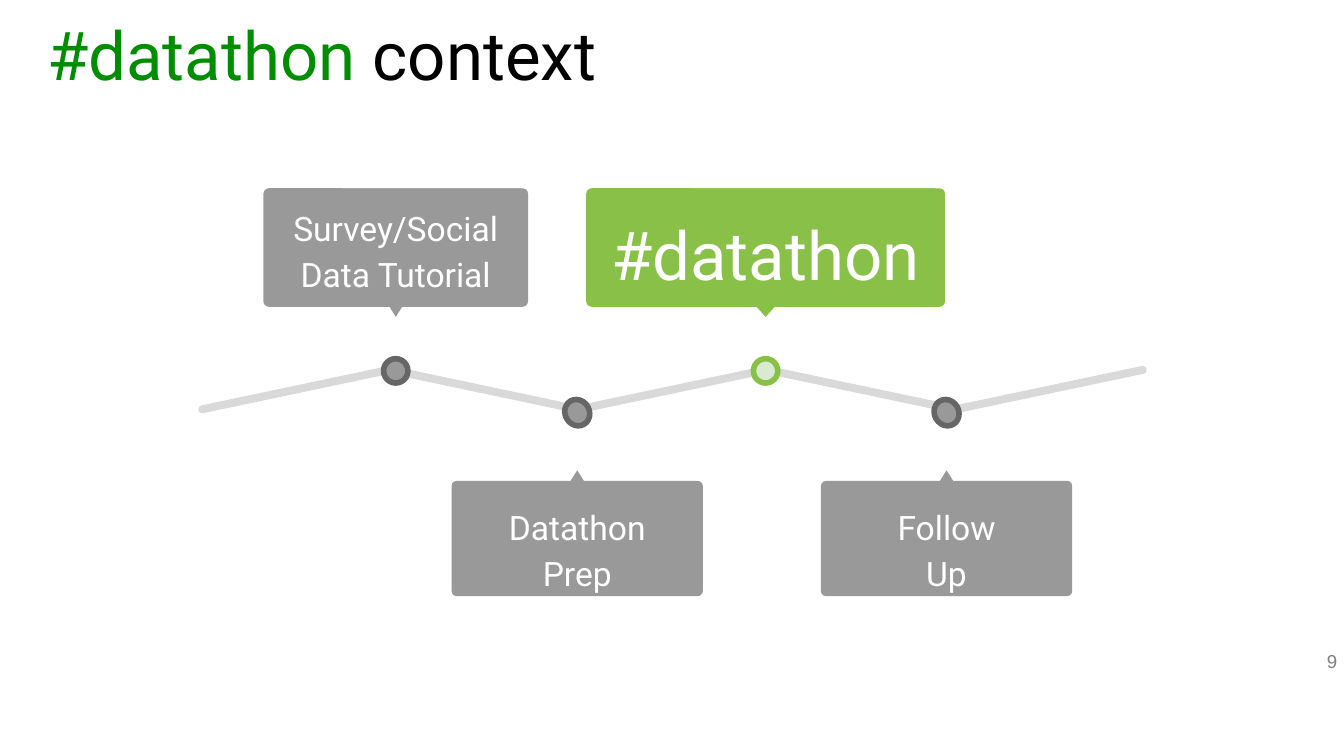
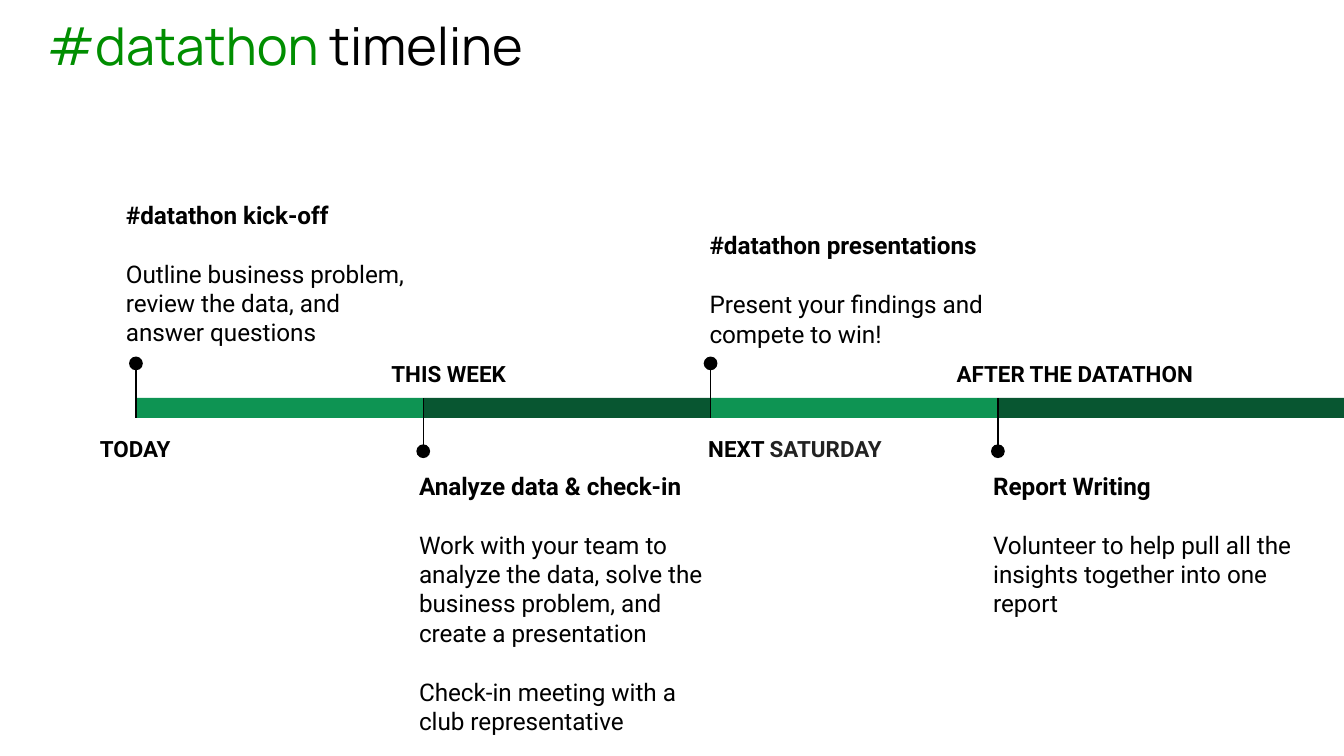
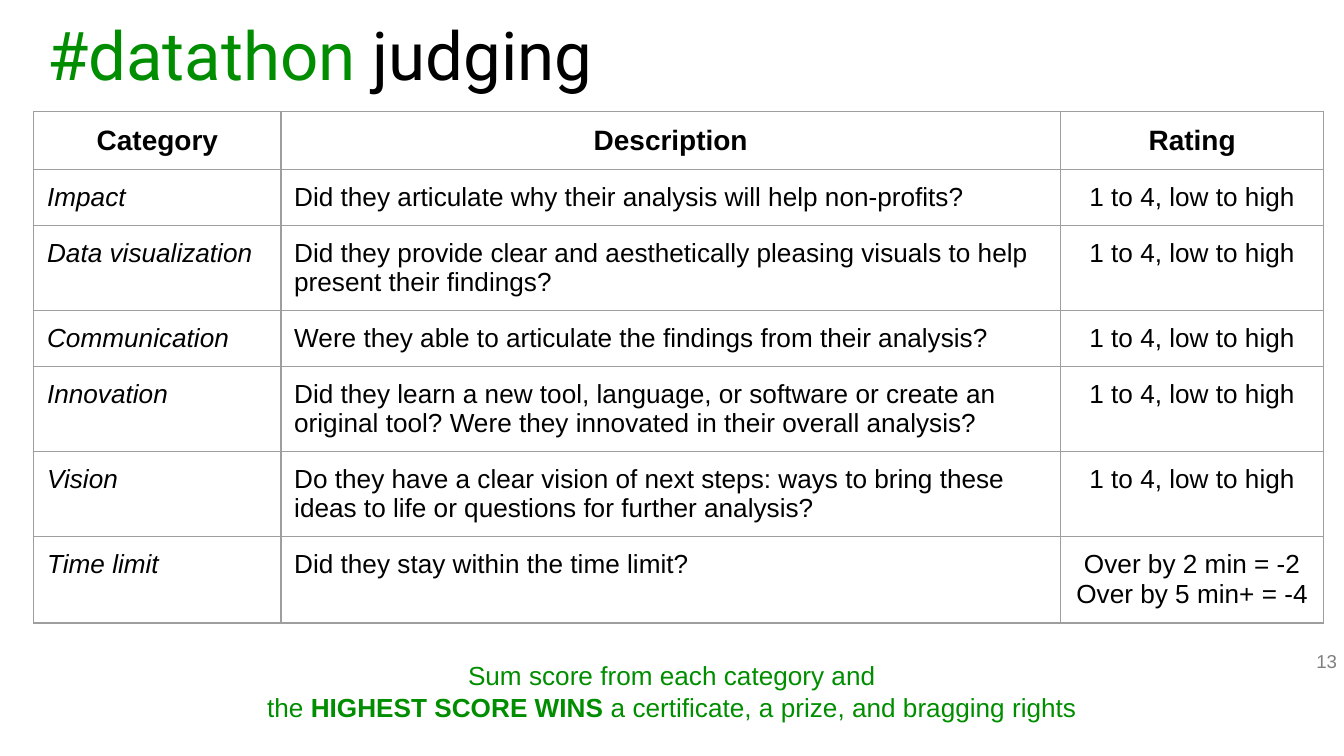
from dataclasses import dataclass
from itertools import cycle
from typing import NamedTuple, Optional

from lxml.etree import SubElement
from pptx import Presentation
from pptx.dml.color import RGBColor
from pptx.enum.shapes import MSO_CONNECTOR, MSO_SHAPE
from pptx.enum.text import MSO_ANCHOR, MSO_AUTO_SIZE, PP_ALIGN
from pptx.oxml.ns import qn
from pptx.util import Cm, Pt

# Shared style
COLORS = {
    "title": "008E00",
    "text": "000000",
    "soft_text": "222222",
    "white": "FFFFFF",
    "page_number": "7F7F7F",
    "rail": "D9D9D9",
    "gray": "999999",
    "dark_gray": "666666",
    "highlight": "88C048",
    "pale_green": "D9EAD3",
    "band_light": "0E9453",
    "band_dark": "085631",
    "grid": "9E9E9E",
}
SLIDE_WIDTH, SLIDE_HEIGHT = 25.4, 14.29
MARGIN = 0.25
BODY_FONT = "Roboto"
TABLE_FONT = "Arial"


class Span(NamedTuple):
    text: str
    color: str = "text"
    bold: bool = False
    italic: bool = False


@dataclass
class Milestone:
    text: str
    center: float
    width: float
    above: bool
    size: int = 18
    color: str = "gray"
    side_inset: float = 0.13
    pointer_width: float = 0.25
    knot_fill: str = "gray"
    knot_line: str = "dark_gray"


@dataclass
class Phase:
    label: list[Span]
    label_left: float
    label_width: float
    heading: str
    details: list[str]
    note_left: float
    note_top: float
    note_width: float = 6.25
    label_align: PP_ALIGN = PP_ALIGN.CENTER


class Criterion(NamedTuple):
    category: str
    description: str
    height: float
    ratings: tuple[str, ...] = ("1 to 4, low to high",)


# Content
MILESTONES = [
    Milestone("Survey/Social Data Tutorial", 7.48, 5.0, True),
    Milestone("Datathon Prep", 10.91, 4.75, False),
    Milestone("#datathon", 14.47, 6.78, True, size=36, color="highlight",
              side_inset=0.18, pointer_width=0.36,
              knot_fill="pale_green", knot_line="highlight"),
    Milestone("Follow\nUp", 17.89, 4.75, False),
]

PHASES = [
    Phase([Span("TODAY", bold=True)], 1.35, 2.41, "#datathon kick-off",
          ["Outline business problem, review the data, and answer questions"],
          2.13, 3.53, note_width=5.87),
    Phase([Span("THIS WEEK", bold=True)], 6.98, 3.0, "Analyze data & check-in",
          ["Work with your team to analyze the data, solve the business problem, "
           "and create a presentation",
           "Check-in meeting with a club representative"],
          7.67, 8.66),
    Phase([Span("NEXT ", bold=True), Span("SATURDAY", "soft_text", bold=True)],
          12.55, 4.95, "#datathon presentations",
          ["Present your findings and compete to win!"], 13.16, 4.11),
    Phase([Span("AFTER THE DATATHON", bold=True)], 17.83, 7.14, "Report Writing",
          ["Volunteer to help pull all the insights together into one report"],
          18.52, 8.66, label_align=PP_ALIGN.LEFT),
]

CRITERIA = [
    Criterion("Impact",
              "Did they articulate why their analysis will help non-profits?", 1.04),
    Criterion("Data visualization",
              "Did they provide clear and aesthetically pleasing visuals to help "
              "present their findings?", 1.55),
    Criterion("Communication",
              "Were they able to articulate the findings from their analysis?", 1.02),
    Criterion("Innovation",
              "Did they learn a new tool, language, or software or create an original "
              "tool? Were they innovated in their overall analysis?", 1.55),
    Criterion("Vision",
              "Do they have a clear vision of next steps: ways to bring these ideas "
              "to life or questions for further analysis?", 1.55),
    Criterion("Time limit", "Did they stay within the time limit?", 1.63,
              ("Over by 2 min = -2", "Over by 5 min+ = -4")),
]


# Drawing helpers
def rgb(name: str) -> RGBColor:
    return RGBColor.from_string(COLORS[name])


def write(frame, paragraphs: list[list[Span]], size: float, font: str = BODY_FONT,
          align: PP_ALIGN = PP_ALIGN.LEFT, line_spacing: Optional[float] = None,
          gap: float = 0) -> None:
    """Fill a text frame; gap is the space before every later paragraph."""
    for index, spans in enumerate(paragraphs):
        paragraph = frame.add_paragraph() if index else frame.paragraphs[0]
        paragraph.alignment = align
        if line_spacing:
            paragraph.line_spacing = line_spacing
        if index and gap:
            paragraph.space_before = Pt(gap)
        for span in spans:
            for number, line in enumerate(span.text.split("\n")):
                if number:
                    paragraph.add_line_break()
                run = paragraph.add_run()
                run.text = line
                run.font.name = font
                run.font.size = Pt(size)
                run.font.bold = span.bold
                run.font.italic = span.italic
                run.font.color.rgb = rgb(span.color)


def prepare_frame(frame, anchor: MSO_ANCHOR = MSO_ANCHOR.TOP) -> None:
    frame.word_wrap = True
    frame.auto_size = MSO_AUTO_SIZE.NONE
    frame.vertical_anchor = anchor
    frame.margin_left = frame.margin_right = Cm(MARGIN)
    frame.margin_top = frame.margin_bottom = Cm(MARGIN)


def add_text(slide, left: float, top: float, width: float, height: float,
             anchor: MSO_ANCHOR = MSO_ANCHOR.TOP):
    box = slide.shapes.add_textbox(Cm(left), Cm(top), Cm(width), Cm(height))
    prepare_frame(box.text_frame, anchor)
    return box.text_frame


def add_block(slide, kind: MSO_SHAPE, left: float, top: float, width: float,
              height: float, fill: str, line: Optional[str] = None,
              rotation: float = 0, corner: Optional[float] = None):
    block = slide.shapes.add_shape(kind, Cm(left), Cm(top), Cm(width), Cm(height))
    block.shadow.inherit = False
    block.fill.solid()
    block.fill.fore_color.rgb = rgb(fill)
    if line:
        block.line.color.rgb = rgb(line)
        block.line.width = Pt(3)
    else:
        block.line.fill.background()
    block.rotation = rotation
    if corner is not None:
        block.adjustments[0] = corner
    return block


def add_titled_slide(deck, topic: str, size: int = 36, font: str = BODY_FONT):
    slide = deck.slides.add_slide(deck.slide_layouts[5])
    title = slide.shapes.title
    title.left, title.top = Cm(0.64), Cm(0)
    title.width, title.height = Cm(13.97), Cm(2.11)
    prepare_frame(title.text_frame)
    write(title.text_frame, [[Span("#datathon", "title"), Span(f" {topic}")]], size, font)
    return slide


def add_page_number(slide, number: int) -> None:
    frame = add_text(slide, 24.0, 11.96, 1.52, 1.09, MSO_ANCHOR.MIDDLE)
    write(frame, [[Span(str(number), "page_number")]], 10, TABLE_FONT, PP_ALIGN.RIGHT)


# Context slide
def add_milestone(slide, stone: Milestone) -> None:
    if stone.above:
        top, height, panel_top, panel_height = 3.56, 2.24, 3.56, 2.13
        pointer_top, turn, knot_middle, knot_height = 5.79, 180, 7.01, 0.46
    else:
        top, height, panel_top, panel_height = 9.09, 2.18, 9.21, 1.93
        pointer_top, turn, knot_middle, knot_height = 8.89, 0, 7.8, 0.51
    left = stone.center - stone.width / 2
    add_block(slide, MSO_SHAPE.ROUNDED_RECTANGLE, left, top, stone.width, height,
              stone.color, corner=0.045)
    add_block(slide, MSO_SHAPE.ISOSCELES_TRIANGLE,
              stone.center - stone.pointer_width / 2, pointer_top,
              stone.pointer_width, 0.2, stone.color, rotation=turn)
    panel = add_block(slide, MSO_SHAPE.RECTANGLE, left + stone.side_inset, panel_top,
                      stone.width - 2 * stone.side_inset, panel_height, stone.color)
    prepare_frame(panel.text_frame)
    write(panel.text_frame, [[Span(stone.text, "white")]], stone.size,
          align=PP_ALIGN.CENTER, line_spacing=1.15)
    add_block(slide, MSO_SHAPE.OVAL, stone.center - 0.23, knot_middle - knot_height / 2,
              0.46, knot_height, stone.knot_fill, stone.knot_line, rotation=330.2)


def build_context(deck) -> None:
    slide = add_titled_slide(deck, "context")
    for index in range(len(MILESTONES) + 1):
        tilt = 11.9 if index % 2 else -11.9
        add_block(slide, MSO_SHAPE.ROUNDED_RECTANGLE, 3.71 + 3.56 * index, 7.29,
                  3.76, 0.15, "rail", rotation=tilt, corner=0.5)
    for stone in MILESTONES:
        add_milestone(slide, stone)
    add_page_number(slide, 9)


# Timeline slide
def add_pin(slide, x: float, start: float, end: float) -> None:
    """Draw a stem with its dot at the start."""
    stem = slide.shapes.add_connector(MSO_CONNECTOR.STRAIGHT,
                                      Cm(x), Cm(start), Cm(x), Cm(end))
    stem.line.color.rgb = rgb("text")
    stem.line.width = Pt(0.75)
    SubElement(stem.element.spPr, qn("a:effectLst"))
    add_block(slide, MSO_SHAPE.OVAL, x - 0.13, start - 0.13, 0.26, 0.26, "text")


def build_timeline(deck) -> None:
    slide = add_titled_slide(deck, "timeline", 28, "Manrope")
    first, pitch, band_top, band_height = 2.57, 5.43, 7.52, 0.38
    shades = cycle(["band_light", "band_dark"])
    for index, (phase, shade) in enumerate(zip(PHASES, shades)):
        start = first + pitch * index
        last = index == len(PHASES) - 1
        width = SLIDE_WIDTH - start if last else pitch
        add_block(slide, MSO_SHAPE.RECTANGLE, start, band_top, width, band_height, shade)
        note_above = phase.note_top < band_top
        if note_above:
            add_pin(slide, start, 6.87, band_top + band_height)
        else:
            add_pin(slide, start, 8.53, band_top)
        label = add_text(slide, phase.label_left, 7.9 if note_above else 6.48,
                         phase.label_width, 1.04)
        write(label, [phase.label], 12, align=phase.label_align, line_spacing=1.15)
        note_bottom = 6.9 if note_above else 14.04
        note = add_text(slide, phase.note_left, phase.note_top, phase.note_width,
                        note_bottom - phase.note_top)
        write(note, [[Span(phase.heading, bold=True)],
                     *([Span(detail)] for detail in phase.details)], 13, gap=16)


# Judging slide
def fill_cell(cell, lines: list[Span], size: int, align: PP_ALIGN) -> None:
    cell.margin_left = cell.margin_right = Cm(MARGIN)
    cell.margin_top = cell.margin_bottom = Cm(MARGIN)
    properties = cell._tc.get_or_add_tcPr()
    for side in ("lnL", "lnR", "lnT", "lnB"):
        border = SubElement(properties, qn(f"a:{side}"), w=str(Pt(0.75)))
        paint = SubElement(border, qn("a:solidFill"))
        SubElement(paint, qn("a:srgbClr"), val=COLORS["grid"])
    cell.fill.background()
    write(cell.text_frame, [[line] for line in lines], size, TABLE_FONT, align)


def build_judging(deck) -> None:
    slide = add_titled_slide(deck, "judging")
    add_page_number(slide, 13)
    widths = [4.67, 14.73, 4.98]
    heights = [1.04] + [criterion.height for criterion in CRITERIA]
    rubric = slide.shapes.add_table(len(heights), len(widths), Cm(0.64), Cm(2.11),
                                    Cm(sum(widths)), Cm(sum(heights))).table
    rubric.first_row = rubric.horz_banding = False
    for column, width in zip(rubric.columns, widths):
        column.width = Cm(width)
    for row, height in zip(rubric.rows, heights):
        row.height = Cm(height)
    for index, heading in enumerate(["Category", "Description", "Rating"]):
        fill_cell(rubric.cell(0, index), [Span(heading, bold=True)], 15, PP_ALIGN.CENTER)
    for number, criterion in enumerate(CRITERIA, start=1):
        fill_cell(rubric.cell(number, 0), [Span(criterion.category, italic=True)],
                  14, PP_ALIGN.LEFT)
        fill_cell(rubric.cell(number, 1), [Span(criterion.description)],
                  14, PP_ALIGN.LEFT)
        fill_cell(rubric.cell(number, 2), [Span(rating) for rating in criterion.ratings],
                  14, PP_ALIGN.CENTER)

    # Closing line
    closing = add_text(slide, 3.53, 12.22, 18.34, 1.7)
    write(closing, [
        [Span("Sum score from each category and", "title")],
        [Span("the", "title"), Span(" HIGHEST SCORE WINS ", "title", bold=True),
         Span("a certificate, a prize, and bragging rights", "title")],
    ], 14, TABLE_FONT, PP_ALIGN.CENTER)


def main() -> None:
    deck = Presentation()
    deck.slide_width, deck.slide_height = Cm(SLIDE_WIDTH), Cm(SLIDE_HEIGHT)
    build_context(deck)
    build_timeline(deck)
    build_judging(deck)
    deck.save("out.pptx")


if __name__ == "__main__":
    main()
